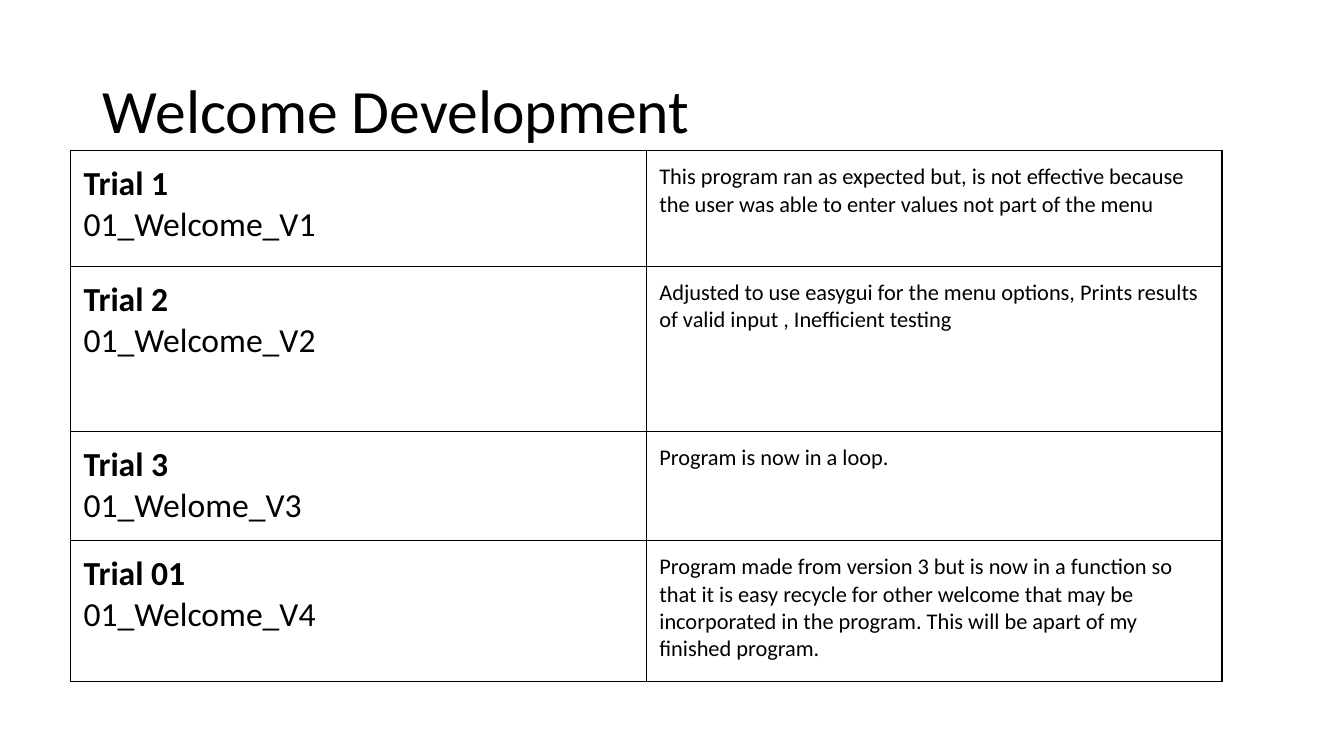
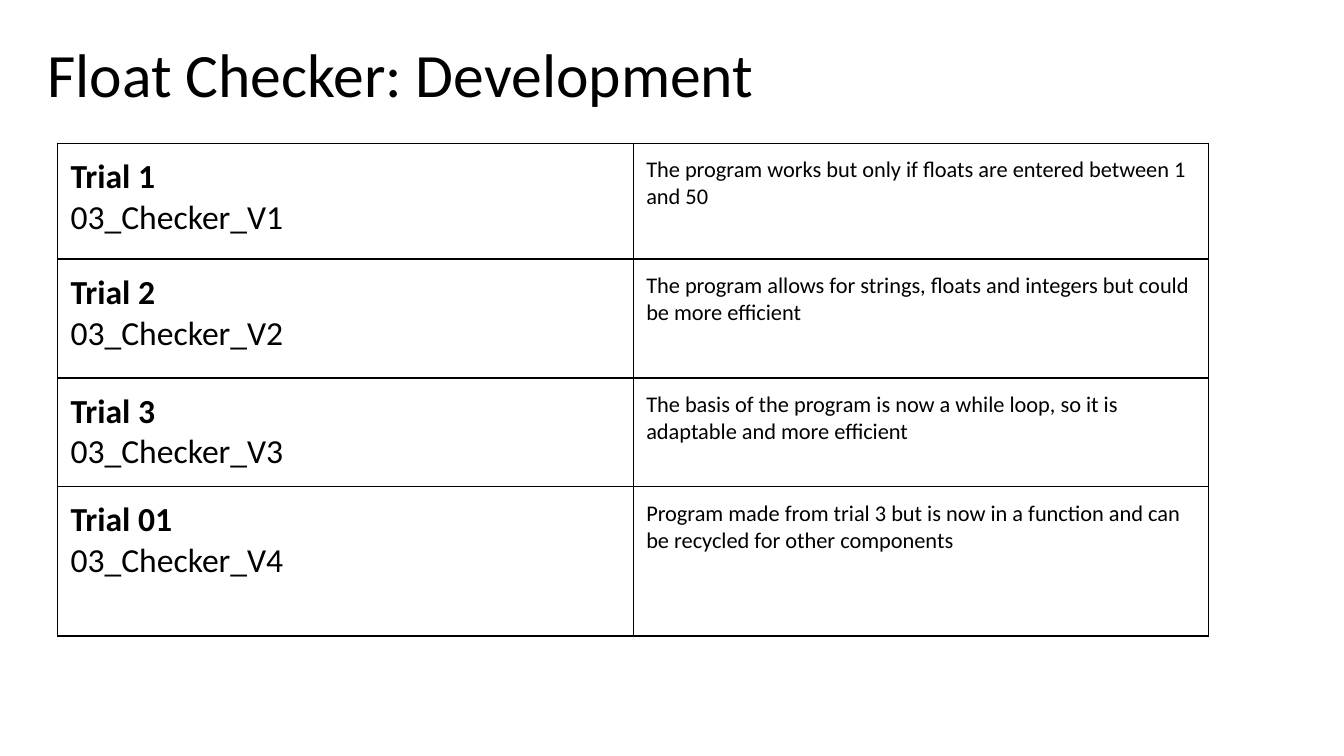
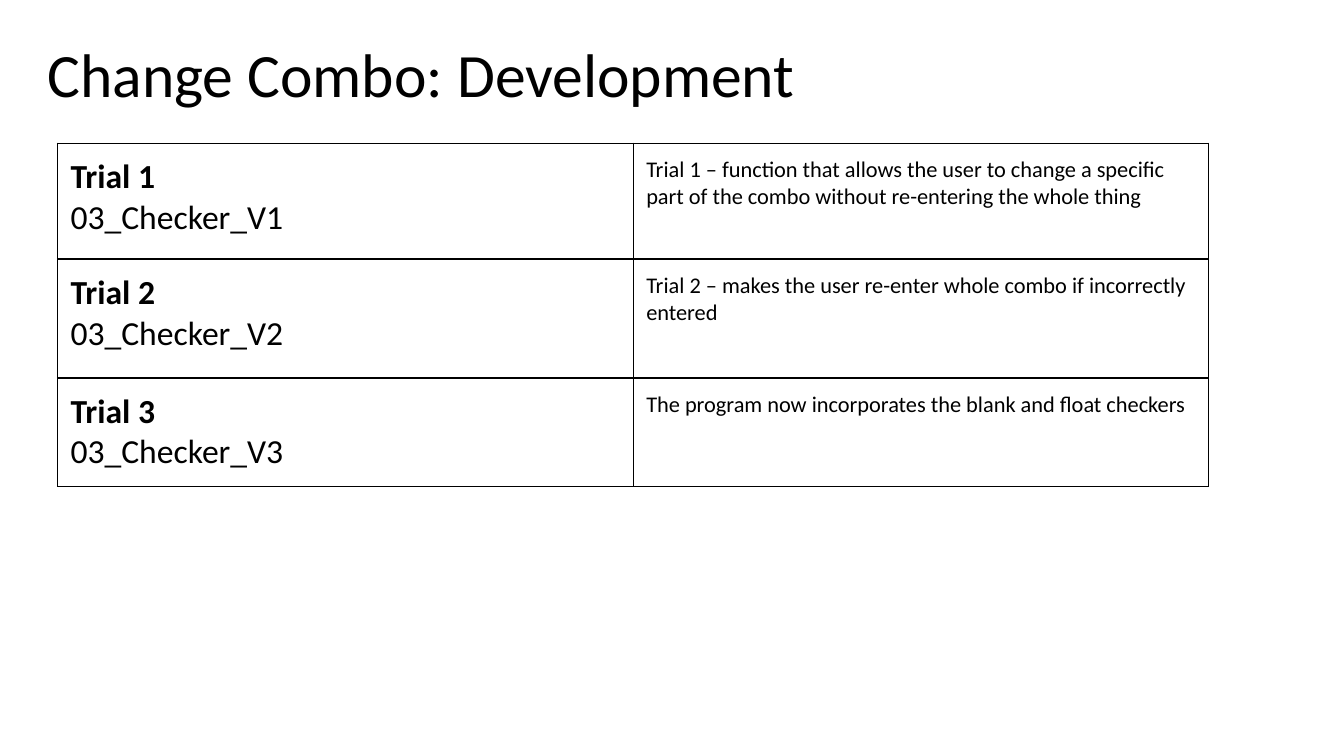
from lxml import etree
from pptx import Presentation
from pptx.dml.color import RGBColor
from pptx.enum.text import MSO_ANCHOR, MSO_AUTO_SIZE, PP_ALIGN
from pptx.oxml.ns import qn
from pptx.util import Inches, Pt

LEFT = PP_ALIGN.LEFT
MIDDLE = MSO_ANCHOR.MIDDLE
TOP = MSO_ANCHOR.TOP
NO_FIT = MSO_AUTO_SIZE.NONE

COLORS = {"text": "000000", "line": "000000"}
FONT = "Calibri"
TITLE_ONLY = 5
COL = 5.71
INSET = 0.13


class Deck:
    def __init__(self):
        self.prs = Presentation()
        self.prs.slide_width = Inches(13.33)
        self.prs.slide_height = Inches(7.5)
        self.slide = None

    def start(self, text, left, top):
        self.slide = self.prs.slides.add_slide(self.prs.slide_layouts[TITLE_ONLY])
        title = self.slide.shapes.title
        title.left, title.top = Inches(left), Inches(top)
        title.width, title.height = Inches(11.5), Inches(1.45)
        frame = title.text_frame
        frame.word_wrap = True
        frame.auto_size = NO_FIT
        frame.vertical_anchor = MIDDLE
        para = frame.paragraphs[0]
        para.alignment = LEFT
        para.line_spacing = 0.9
        self.run(para, text, 44)

    def run(self, para, text, size, bold=False):
        run = para.add_run()
        run.text = text
        font = run.font
        font.name, font.size, font.bold = FONT, Pt(size), bold
        font.color.rgb = RGBColor.from_string(COLORS["text"])

    def border(self, cell):
        props = cell._tc.get_or_add_tcPr()
        for side in ("lnL", "lnR", "lnT", "lnB"):
            line = etree.SubElement(props, qn(f"a:{side}"), w=str(Pt(1)))
            fill = etree.SubElement(line, qn("a:solidFill"))
            etree.SubElement(fill, qn("a:srgbClr"), val=COLORS["line"])

    def cell(self, cell, lines):
        self.border(cell)
        cell.fill.background()
        cell.vertical_anchor = TOP
        cell.margin_left = cell.margin_right = Inches(INSET)
        cell.margin_top = cell.margin_bottom = Inches(INSET)
        frame = cell.text_frame
        for i, (text, size, bold) in enumerate(lines):
            para = frame.add_paragraph() if i else frame.paragraphs[0]
            self.run(para, text, size, bold)

    def table(self, left, top, heights, trials):
        shape = self.slide.shapes.add_table(
            len(trials), 2, Inches(left), Inches(top),
            Inches(2 * COL), Inches(sum(heights)))
        table = shape.table
        table.first_row = table.horz_banding = False
        for col in table.columns:
            col.width = Inches(COL)
        for i, (height, (name, file, note)) in enumerate(zip(heights, trials)):
            table.rows[i].height = Inches(height)
            self.cell(table.cell(i, 0), [(name, 24, True), (file, 24, False)])
            self.cell(table.cell(i, 1), [(note, 16, False)])

    def save(self):
        self.prs.save("out.pptx")


def main():
    deck = Deck()

    deck.start("Welcome Development", 0.92, 0.4)
    deck.table(0.7, 1.49, [1.15, 1.64, 1.08, 1.4], [
        ("Trial 1", "01_Welcome_V1",
         "This program ran as expected but, is not effective because the user "
         "was able to enter values not part of the menu"),
        ("Trial 2", "01_Welcome_V2",
         "Adjusted to use easygui for the menu options, Prints results of "
         "valid input , Inefficient testing"),
        ("Trial 3", "01_Welome_V3", "Program is now in a loop."),
        ("Trial 01", "01_Welcome_V4",
         "Program made from version 3 but is now in a function so that it is "
         "easy recycle for other welcome that may be incorporated in the "
         "program. This will be apart of my finished program."),
    ])

    heights = [1.15, 1.18, 1.08, 1.48]
    checks = [
        ("Float Checker: Development", [
            ("Trial 1", "The program works but only if floats are entered "
             "between 1 and 50"),
            ("Trial 2", "The program allows for strings, floats and integers "
             "but could be more efficient"),
            ("Trial 3", "The basis of the program is now a while loop, so it "
             "is adaptable and more efficient"),
            ("Trial 01", "Program made from trial 3 but is now in a function "
             "and can be recycled for other components"),
        ]),
        ("Change Combo: Development", [
            ("Trial 1", "Trial 1 – function that allows the user to change a "
             "specific part of the combo without re-entering the whole thing"),
            ("Trial 2", "Trial 2 – makes the user re-enter whole combo if "
             "incorrectly entered"),
            ("Trial 3", "The program now incorporates the blank and float "
             "checkers"),
        ]),
    ]
    for title, notes in checks:
        deck.start(title, 0.37, 0.04)
        trials = [(name, f"03_Checker_V{i}", note)
                  for i, (name, note) in enumerate(notes, 1)]
        deck.table(0.57, 1.42, heights[:len(trials)], trials)

    deck.save()


if __name__ == "__main__":
    main()
